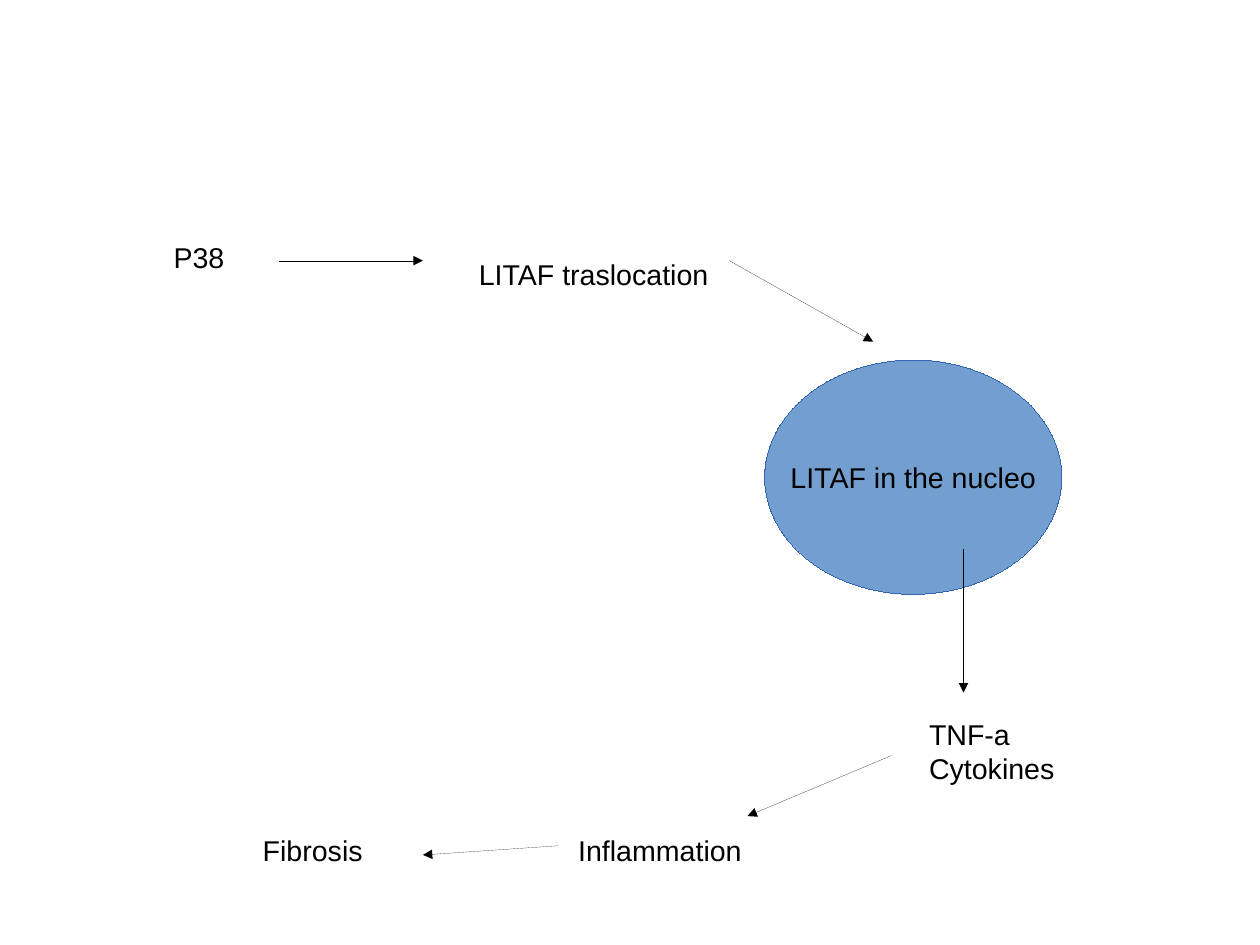
from dataclasses import dataclass

from lxml import etree
from pptx import Presentation
from pptx.dml.color import RGBColor
from pptx.enum.shapes import MSO_CONNECTOR, MSO_SHAPE
from pptx.enum.text import MSO_ANCHOR, MSO_AUTO_SIZE, PP_ALIGN
from pptx.oxml.ns import qn
from pptx.util import Inches, Pt

STRAIGHT = MSO_CONNECTOR.STRAIGHT
ELLIPSE = MSO_SHAPE.OVAL
GROW = MSO_AUTO_SIZE.SHAPE_TO_FIT_TEXT
MIDDLE = MSO_ANCHOR.MIDDLE
LEFT, CENTER = PP_ALIGN.LEFT, PP_ALIGN.CENTER

CM_PER_INCH = 2.54
PAGE_WIDTH_CM = 28
PAGE_HEIGHT_CM = 21


@dataclass(frozen=True)
class Theme:
    font: str = "Arial"
    size: int = 18
    ink: RGBColor = RGBColor(0x00, 0x00, 0x00)
    nucleus_fill: RGBColor = RGBColor(0x72, 0x9F, 0xCF)
    nucleus_line: RGBColor = RGBColor(0x34, 0x65, 0xAF)


THEME = Theme()

# Positions are in inches from the top left corner of the pathway.
LABELS = [
    (["P38"], 0, 0, 0.71, 0.38),
    (["LITAF traslocation"], 2.67, 0.15, 2.21, 0.38),
    (["TNF-a", "Cytokines"], 6.61, 4.17, 1.3, 0.66),
    (["Inflammation"], 3.54, 5.19, 1.63, 0.38),
    (["Fibrosis"], 0.78, 5.19, 1.08, 0.38),
]
NUCLEUS = (["LITAF in the nucleo"], 5.27, 1.1, 2.6, 2.05)
ARROWS = [
    ((1.02, 0.23), (2.28, 0.23)),
    ((4.96, 0.23), (6.22, 0.94)),
    ((7.01, 2.75), (7.01, 4.01)),
    ((6.38, 4.56), (5.12, 5.09)),
    ((3.46, 5.35), (2.28, 5.43)),
]


def write_lines(frame, lines, alignment):
    frame.word_wrap = False
    for index, line in enumerate(lines):
        para = frame.paragraphs[0] if index == 0 else frame.add_paragraph()
        para.alignment = alignment
        span = para.add_run()
        span.text = line
        span.font.color.rgb = THEME.ink
        for name, value in {"name": THEME.font, "size": Pt(THEME.size)}.items():
            setattr(span.font, name, value)


def set_hairline(shape, color):
    """Write the zero width explicitly, as the style's width applies otherwise."""
    shape.line.color.rgb = color
    outline = shape._element.spPr.find(qn("a:ln"))
    outline.set("w", "0")
    return outline


def add_label(page, lines, left, top, width, height):
    box = page.shapes.add_textbox(*map(Inches, (left, top, width, height)))
    write_lines(box.text_frame, lines, LEFT)
    box.text_frame.auto_size = GROW


def add_nucleus(page, lines, left, top, width, height):
    nucleus = page.shapes.add_shape(ELLIPSE, *map(Inches, (left, top, width, height)))
    nucleus.shadow.inherit = False
    nucleus.fill.solid()
    nucleus.fill.fore_color.rgb = THEME.nucleus_fill
    set_hairline(nucleus, THEME.nucleus_line)
    nucleus.text_frame.vertical_anchor = MIDDLE
    write_lines(nucleus.text_frame, lines, CENTER)


def add_arrow(page, start, end):
    arrow = page.shapes.add_connector(STRAIGHT, *map(Inches, (*start, *end)))
    outline = set_hairline(arrow, THEME.ink)
    etree.SubElement(outline, qn("a:tailEnd"), type="triangle")
    etree.SubElement(arrow._element.spPr, qn("a:effectLst"))


def draw_pathway(page, left, top):
    """Place the nucleus first, so that the arrow leaving it stays in front."""
    lines, x, y, width, height = NUCLEUS
    add_nucleus(page, lines, left + x, top + y, width, height)
    for lines, x, y, width, height in LABELS:
        add_label(page, lines, left + x, top + y, width, height)
    for start, end in ARROWS:
        add_arrow(page, *((left + x, top + y) for x, y in (start, end)))


def main():
    deck = Presentation()
    deck.slide_width = Inches(PAGE_WIDTH_CM / CM_PER_INCH)
    deck.slide_height = Inches(PAGE_HEIGHT_CM / CM_PER_INCH)
    blank_layout = deck.slide_layouts[6]
    page = deck.slides.add_slide(blank_layout)
    draw_pathway(page, left=1.42, top=2.05)
    deck.save("out.pptx")


if __name__ == "__main__":
    main()
